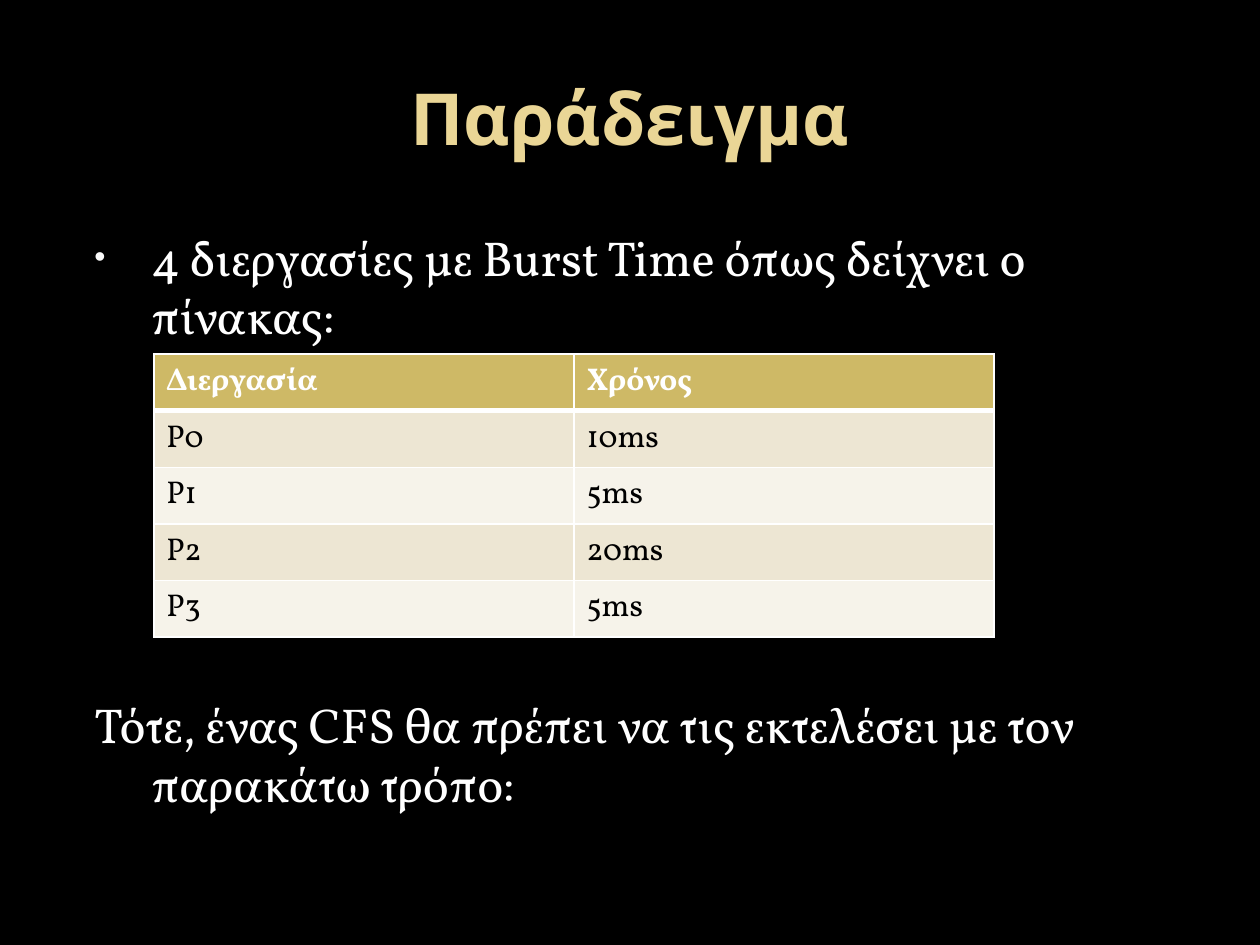
import pptx
import pptx.util
import pptx.dml.color
import pptx.enum.text
import pptx.oxml.ns
from lxml import etree

Cm = pptx.util.Cm
Pt = pptx.util.Pt
qn = pptx.oxml.ns.qn
HUES = {
    "back": "000000", "title": "EAD696", "text": "FFFFFF", "dot": "F9F9F9",
    "head": "CEB966", "odd": "EDE6D3", "even": "F6F3EA", "ink": "000000",
}
ROWS = [("Διεργασία", "Χρόνος"), ("P0", "10ms"), ("P1", "5ms"),
        ("P2", "20ms"), ("P3", "5ms")]
LINES = ["4 διεργασίες με Burst Time όπως δείχνει ο πίνακας:",
         "Τότε, ένας CFS θα πρέπει να τις εκτελέσει με τον παρακάτω τρόπο:"]


def tint(fill, hue):
    fill.solid()
    fill.fore_color.rgb = pptx.dml.color.RGBColor.from_string(HUES[hue])


def style(para, face, size, hue, bold=False):
    font = para.font
    font.name, font.size, font.bold = face, Pt(size), bold
    tint(font.fill, hue)


def place(shape, left, top, width, height):
    shape.left, shape.top = Cm(left), Cm(top)
    shape.width, shape.height = Cm(width), Cm(height)
    shape.text_frame.auto_size = pptx.enum.text.MSO_AUTO_SIZE.NONE


def add_title(slide):
    title = slide.shapes.title
    place(title, 1.27, 0.76, 22.86, 3.18)
    title.text_frame.text = "Παράδειγμα"
    title.text_frame.vertical_anchor = pptx.enum.text.MSO_ANCHOR.MIDDLE
    para = title.text_frame.paragraphs[0]
    para.alignment = pptx.enum.text.PP_ALIGN.CENTER
    style(para, "Open Sans", 41, "title", True)


def set_dot(para, shown):
    props = para._p.get_or_add_pPr()
    props.set("marL", str(Cm(1.52)))
    props.set("indent", str(-Cm(1.14)))
    if not shown:
        etree.SubElement(props, qn("a:buNone"))
        return
    hue = etree.SubElement(props, qn("a:buClr"))
    etree.SubElement(hue, qn("a:srgbClr"), val=HUES["dot"])
    etree.SubElement(props, qn("a:buSzPct"), val="65000")
    etree.SubElement(props, qn("a:buChar"), char="•")


def add_body(slide):
    body = slide.placeholders[1]
    place(body, 1.27, 4.45, 22.86, 13.08)
    body.text_frame.text = "\n".join(LINES)
    first, last = body.text_frame.paragraphs
    for para in (first, last):
        set_dot(para, para is first)
        style(para, "Vollkorn", 28, "text")
    first.space_before = Pt(5.6)
    last.space_before = Pt(200)


def set_edge(cell, side, width):
    props = cell._tc.get_or_add_tcPr()
    line = etree.SubElement(props, qn("a:ln" + side), w=str(Pt(width)))
    fill = etree.SubElement(line, qn("a:solidFill"))
    etree.SubElement(fill, qn("a:srgbClr"), val=HUES["text"])


def fill_cell(cell, text, row):
    head = row == 0
    for side in "LRTB":
        thick = (head and side == "B") or (row == 1 and side == "T")
        set_edge(cell, side, 3 if thick else 1)
    tint(cell.fill, "head" if head else "odd" if row % 2 else "even")
    cell.text = text
    style(cell.text_frame.paragraphs[0], "Vollkorn", 18,
          "text" if head else "ink", head)


def add_grid(slide):
    frame = slide.shapes.add_table(len(ROWS), 2, Cm(3.1), Cm(7.14),
                                   Cm(16.94), Cm(5.15))
    for row, texts in enumerate(ROWS):
        for col, text in enumerate(texts):
            fill_cell(frame.table.cell(row, col), text, row)


def main():
    deck = pptx.Presentation()
    deck.slide_width, deck.slide_height = Cm(25.4), Cm(19.05)
    slide = deck.slides.add_slide(deck.slide_layouts[1])
    tint(slide.background.fill, "back")
    add_title(slide)
    add_body(slide)
    add_grid(slide)
    deck.save("out.pptx")


if __name__ == "__main__":
    main()
